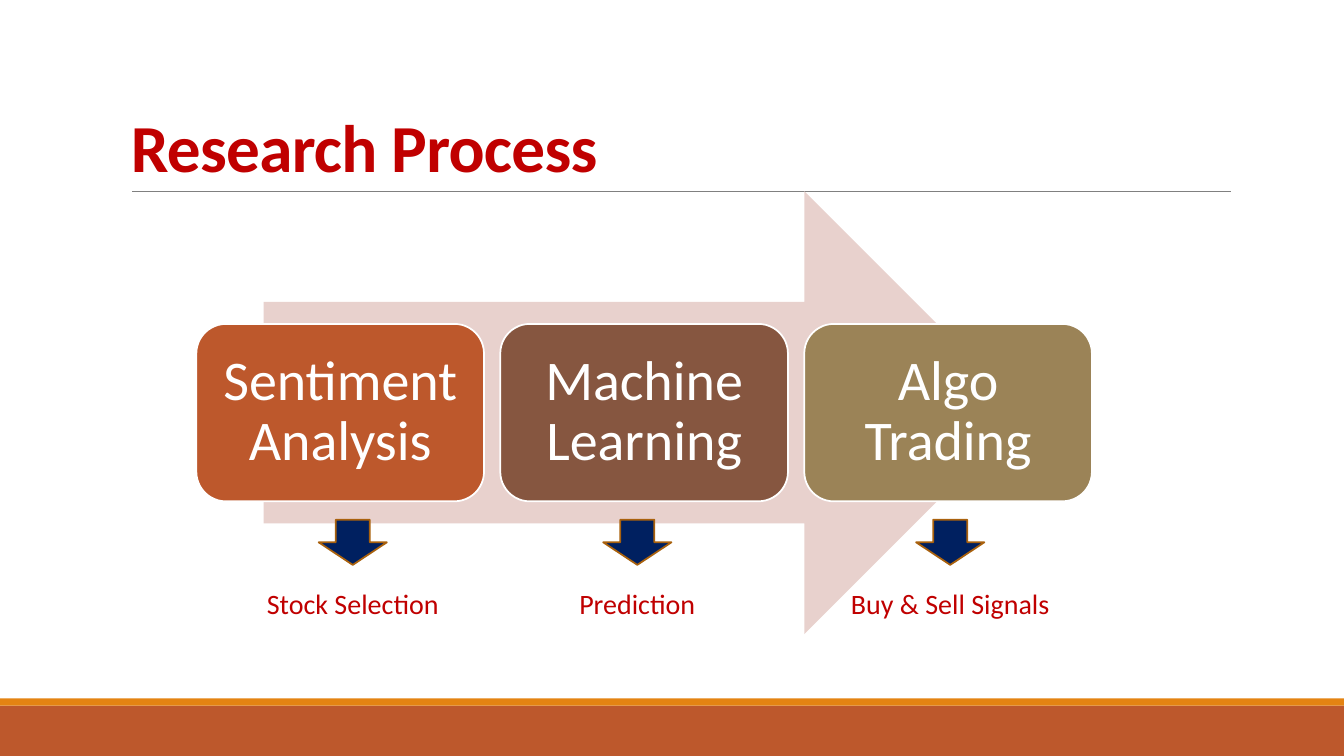
from lxml import etree
from pptx import Presentation
from pptx.dml.color import RGBColor
from pptx.enum.shapes import MSO_CONNECTOR, MSO_SHAPE
from pptx.enum.text import MSO_ANCHOR, PP_ALIGN
from pptx.oxml.ns import qn
from pptx.util import Emu, Pt

PX = 9525
TITLE_ONLY = 5
FONT = "Calibri"
RECTANGLE = MSO_SHAPE.RECTANGLE
ROUNDED = MSO_SHAPE.ROUNDED_RECTANGLE
RIGHT_ARROW = MSO_SHAPE.RIGHT_ARROW
DOWN_ARROW = MSO_SHAPE.DOWN_ARROW
STRAIGHT = MSO_CONNECTOR.STRAIGHT
TOP, MIDDLE, BOTTOM = MSO_ANCHOR.TOP, MSO_ANCHOR.MIDDLE, MSO_ANCHOR.BOTTOM
LEFT, CENTER = PP_ALIGN.LEFT, PP_ALIGN.CENTER

WHITE = RGBColor(0xFF, 0xFF, 0xFF)
GRAY = RGBColor(0x80, 0x80, 0x80)
RED = RGBColor(0xC0, 0x00, 0x00)
RUST = RGBColor(0xBD, 0x58, 0x2C)
ORANGE = RGBColor(0xE4, 0x83, 0x12)
BROWN = RGBColor(0x86, 0x56, 0x40)
OLIVE = RGBColor(0x9B, 0x83, 0x57)
PINK = RGBColor(0xE8, 0xD1, 0xCD)
NAVY = RGBColor(0x00, 0x20, 0x60)
DARK_ORANGE = RGBColor(0xA9, 0x61, 0x0D)

STEPS = [("Sentiment Analysis", RUST), ("Machine Learning", BROWN), ("Algo Trading", OLIVE)]
OUTCOMES = [("Stock Selection", 336, 185), ("Prediction", 607, 131), ("Buy & Sell Signals", 905, 210)]


def px(*lengths):
    """Turn pixel lengths into EMU."""
    return [Emu(round(length * PX)) for length in lengths]


def write_text(shape, text, size, color, bold=False, align=CENTER, anchor=TOP,
               line_spacing=1.0, tracking=0, inset=None, wrap=True):
    """Put one formatted paragraph into a shape."""
    frame = shape.text_frame
    frame.word_wrap = wrap
    frame.vertical_anchor = anchor
    if inset is not None:
        margin, = px(inset)
        frame.margin_left = frame.margin_right = margin
        frame.margin_top = frame.margin_bottom = margin
    paragraph = frame.paragraphs[0]
    paragraph.alignment = align
    paragraph.line_spacing = line_spacing
    run = paragraph.add_run()
    run.text = text
    run.font.name = FONT
    run.font.size = Pt(size)
    run.font.bold = bold
    run.font.color.rgb = color
    if tracking:
        run._r.get_or_add_rPr().set("spc", str(tracking))


def add_block(slide, kind, box, fill, line=None):
    """Add a flat preset shape in a pixel box."""
    shape = slide.shapes.add_shape(kind, *px(*box))
    shape.shadow.inherit = False
    shape.fill.solid()
    shape.fill.fore_color.rgb = fill
    if line is None:
        shape.line.fill.background()
    else:
        shape.line.color.rgb = line
        shape.line.width = Pt(1.25)
    return shape


def add_footer(slide, left, top, width, height, stripe=7):
    """Draw the footer band below its thin stripe."""
    add_block(slide, RECTANGLE, (left, top + stripe, width, height - stripe), RUST)
    add_block(slide, RECTANGLE, (left, top, width, stripe), ORANGE)


def add_heading(slide, text, left, top, width, height):
    """Place the title and the rule beneath it."""
    title = slide.shapes.title
    title.left, title.top, title.width, title.height = px(left, top, width, height)
    write_text(title, text, 48, RED, bold=True, align=LEFT, anchor=BOTTOM,
               line_spacing=0.85, tracking=-50)
    bottom = top + height
    rule = slide.shapes.add_connector(STRAIGHT, *px(left + 11, bottom, left + width + 1, bottom))
    rule.line.color.rgb = GRAY
    rule.line.width = Pt(0.5)
    etree.SubElement(rule._element.spPr, qn("a:effectLst"))


def add_process(slide, left, top, width, height):
    """Draw the large arrow with the evenly spaced step boxes over it."""
    add_block(slide, RIGHT_ARROW, (left + 64, top, width - 127, height), PINK)
    step_width, step_height = 274, 169
    pitch = (width - step_width) / (len(STEPS) - 1)
    step_top = top + (height - step_height) / 2
    for index, (text, color) in enumerate(STEPS):
        box = (left + index * pitch, step_top, step_width, step_height)
        step = add_block(slide, ROUNDED, box, color, line=WHITE)
        write_text(step, text, 40, WHITE, anchor=MIDDLE, line_spacing=0.9, inset=16)


def add_outcome(slide, text, center, top, width):
    """Draw a down arrow with its outcome label centred below."""
    arrow_width, arrow_height = 65, 43
    box = (center - arrow_width / 2, top, arrow_width, arrow_height)
    add_block(slide, DOWN_ARROW, box, NAVY, line=DARK_ORANGE)
    label = slide.shapes.add_textbox(*px(center - width / 2, top + 59, width, 42))
    write_text(label, text, 20, RED, wrap=False)


def main():
    """Build and save the slide."""
    presentation = Presentation()
    presentation.slide_width, presentation.slide_height = px(1280, 720)
    slide = presentation.slides.add_slide(presentation.slide_layouts[TITLE_ONLY])
    add_footer(slide, 0, 665, 1280, 55)
    add_heading(slide, "Research Process", 115, 30, 1056, 152)
    add_process(slide, 187, 182, 853, 422)
    for text, center, width in OUTCOMES:
        add_outcome(slide, text, center, 495, width)
    presentation.save("out.pptx")


if __name__ == "__main__":
    main()
